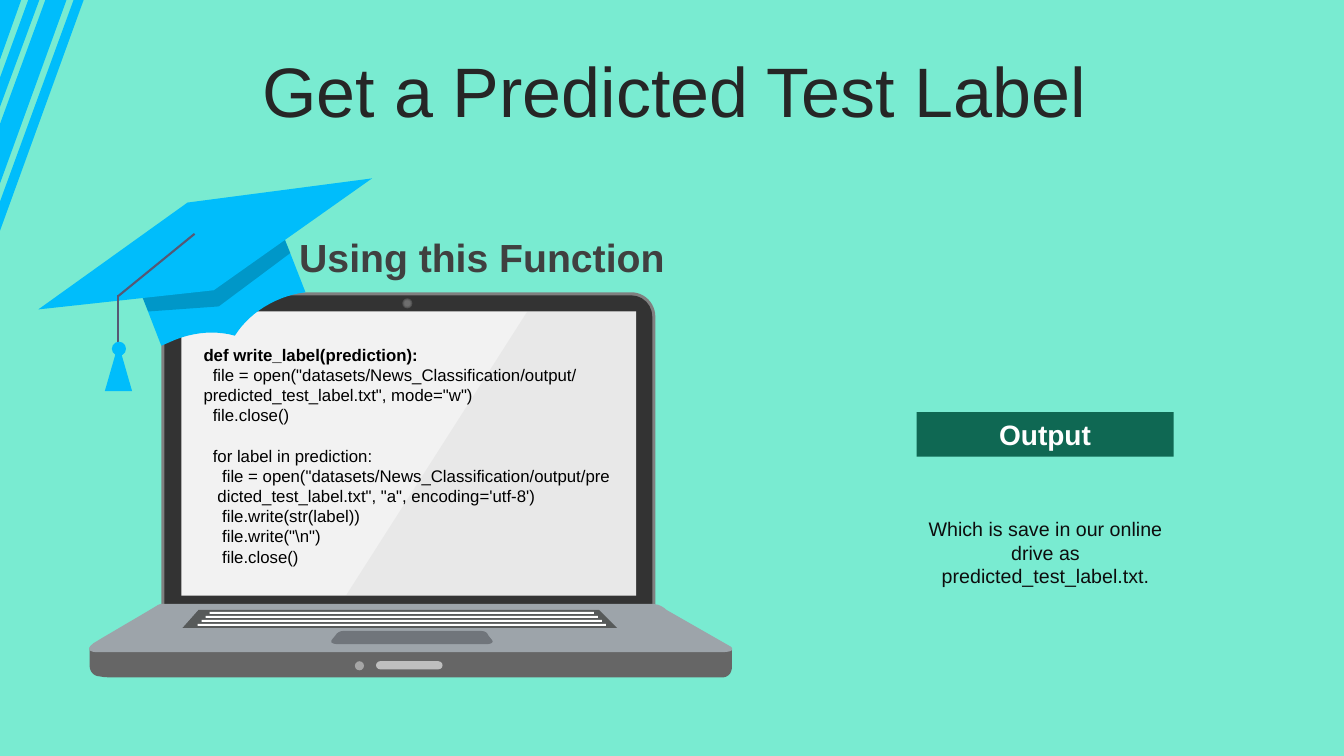
from dataclasses import dataclass

from lxml import etree
from pptx import Presentation
from pptx.dml.color import RGBColor
from pptx.enum.shapes import MSO_CONNECTOR, MSO_SHAPE
from pptx.enum.text import MSO_ANCHOR, MSO_AUTO_SIZE, PP_ALIGN
from pptx.oxml.ns import qn
from pptx.util import Inches, Pt

RECT, OVAL = MSO_SHAPE.RECTANGLE, MSO_SHAPE.OVAL
PILL, TRIANGLE = MSO_SHAPE.ROUNDED_RECTANGLE, MSO_SHAPE.ISOSCELES_TRIANGLE
LID = MSO_SHAPE.ROUND_2_SAME_RECTANGLE
STRAIGHT = MSO_CONNECTOR.STRAIGHT
MIDDLE, FIT_SHAPE = MSO_ANCHOR.MIDDLE, MSO_AUTO_SIZE.SHAPE_TO_FIT_TEXT
LEFT, CENTER, RIGHT = PP_ALIGN.LEFT, PP_ALIGN.CENTER, PP_ALIGN.RIGHT
CURVE_STEPS = 10


@dataclass(frozen=True)
class Theme:
    font: str = "Arial"
    background: str = "79EBD1"
    accent: str = "00BDFB"
    label: str = "0F6853"
    white: str = "FFFFFF"
    black: str = "000000"
    title: str = "262626"
    heading: str = "404040"
    body: str = "0D0D0D"
    cord: str = "565874"
    edge: str = "808080"
    bezel: str = "333333"
    screen: str = "F2F2F2"
    glare: str = "999999"
    front: str = "666666"
    deck: str = "9DA4AA"
    trackpad: str = "70757B"
    keyboard: str = "575A5A"
    latch: str = "BFBFBF"
    button: str = "A6A6A6"
    title_size: int = 50
    heading_size: int = 28
    label_size: int = 20
    body_size: int = 14
    code_size: int = 12


THEME = Theme()

CODE = [
    "def write_label(prediction):",
    '  file = open("datasets/News_Classification/output/\vpredicted_test_label.txt", mode="w")',
    "  file.close()",
    "  for label in prediction:",
    '    file = open("datasets/News_Classification/output/pre\v'
    '   dicted_test_label.txt", "a", encoding=\'utf-8\')',
    "    file.write(str(label))",
    '    file.write("\\n")',
    "    file.close()",
]
LOOP_LINE = 3

# In an outline, a pair is a corner and six numbers are a Bézier curve.
STRIPES = [
    [(0.73, 0), (0.83, 0), (0, 2.29), (0, 2)],
    [(0.39, 0), (0, 1.06), (0, 0.77), (0.28, 0)],
    [(0.66, 0), (0, 1.82), (0, 1.23), (0.45, 0)],
    [(0, 0), (0.21, 0), (0, 0.59)],
]
FRONT = [(7.26, 6.61), (7.26, 6.72, 7.17, 6.72, 7.17, 6.72), (1.15, 6.72),
         (1.08, 6.72, 1.03, 6.72, 0.99, 6.71), (0.93, 6.71, 0.89, 6.66, 0.89, 6.61),
         (0.89, 6.44), (7.26, 6.44)]
DECK = [(7.14, 6.47), (0.96, 6.47), (0.96, 6.47, 0.91, 6.47, 0.89, 6.45),
        (0.88, 6.43, 0.88, 6.42, 0.93, 6.38), (1.04, 6.31, 1.46, 6.07, 1.57, 6),
        (1.6, 5.99), (6.47, 5.99), (6.53, 6), (6.55, 6.01, 6.58, 6.02, 6.61, 6.05),
        (7.24, 6.41), (7.24, 6.41, 7.26, 6.42, 7.26, 6.43),
        (7.27, 6.45, 7.26, 6.47, 7.14, 6.47)]
TRACKPAD = [(3.41, 6.26), (3.38, 6.26, 3.35, 6.27, 3.33, 6.3), (3.29, 6.35),
            (3.29, 6.35, 3.25, 6.4, 3.4, 6.39), (4.78, 6.39),
            (4.92, 6.4, 4.88, 6.35, 4.88, 6.35), (4.84, 6.3),
            (4.83, 6.27, 4.8, 6.26, 4.76, 6.26)]
KEYBOARD = [(6.12, 6.23), (1.81, 6.23), (1.97, 6.05), (5.94, 6.05)]
GLARE = [(5.23, 3.09), (6.31, 3.09), (6.31, 5.91), (3.43, 5.91)]
CAP = [(2.71, 2.08), (1.29, 2.63), (1.6, 3.43), (1.65, 3.41, 1.69, 3.39, 1.74, 3.37),
       (1.94, 3.29, 2.15, 3.28, 2.33, 3.33), (2.43, 3.17, 2.59, 3.04, 2.79, 2.96),
       (2.87, 2.93, 2.95, 2.91, 3.03, 2.9)]
CAP_SHADE = [(2.78, 2.27), (1.36, 2.82), (1.47, 3.09), (2.17, 3.04), (2.88, 2.51)]
CAP_BOARD = [(1.86, 2.01), (3.69, 1.77), (2.12, 2.88), (0.38, 3.07)]


def paint(shape, color, alpha=None):
    shape.shadow.inherit = False
    shape.fill.solid()
    shape.fill.fore_color.rgb = RGBColor.from_string(color)
    shape.line.fill.background()
    if alpha is not None:
        rgb = shape._element.spPr.find(qn("a:solidFill"))[0]
        etree.SubElement(rgb, qn("a:alpha"), val=str(alpha * 1000))
    return shape


def add_block(shapes, kind, box, color, alpha=None):
    return paint(shapes.add_shape(kind, *map(Inches, box)), color, alpha)


def flatten(outline):
    """Turn the corners and Bézier curves of an outline into points."""
    points = []
    for step in outline:
        if len(step) == 2:
            points.append(step)
            continue
        controls = [points[-1], step[:2], step[2:4], step[4:]]
        for i in range(1, CURVE_STEPS + 1):
            t = i / CURVE_STEPS
            weights = ((1 - t) ** 3, 3 * t * (1 - t) ** 2, 3 * t * t * (1 - t), t ** 3)
            points.append(tuple(sum(w * c[axis] for w, c in zip(weights, controls))
                                for axis in (0, 1)))
    return [(Inches(x), Inches(y)) for x, y in points]


def add_outline(shapes, outline, color, alpha=None):
    start, *others = flatten(outline)
    builder = shapes.build_freeform(*start)
    builder.add_line_segments(others, close=True)
    return paint(builder.convert_to_shape(), color, alpha)


def add_cord(shapes, start, end):
    cord = shapes.add_connector(STRAIGHT, *map(Inches, start + end))
    cord.line.color.rgb = RGBColor.from_string(THEME.cord)
    cord.line.width = Pt(1.5)
    etree.SubElement(cord._element.spPr, qn("a:effectLst"))


def write(frame, lines, size, color, align=LEFT, bold=False, spacing=None):
    frame.word_wrap = True
    frame.text = "\n".join(lines)
    for paragraph in frame.paragraphs:
        paragraph.alignment = align
        paragraph.line_spacing = spacing
        for run in paragraph.runs:
            for name, value in dict(name=THEME.font, size=Pt(size), bold=bold).items():
                setattr(run.font, name, value)
            run.font.color.rgb = RGBColor.from_string(color)


def add_text(shapes, box, *args, **formats):
    frame = shapes.add_textbox(*map(Inches, box)).text_frame
    write(frame, *args, **formats)
    frame.auto_size = FIT_SHAPE
    return frame


def place_title(title, text):
    box = dict(left=0.36, top=0.57, width=12.66, height=0.79)
    for name, value in box.items():
        setattr(title, name, Inches(value))
    write(title.text_frame, [text], THEME.title_size, THEME.title, CENTER, spacing=0.8)
    title.text_frame.vertical_anchor = MIDDLE


def draw_laptop(shapes):
    for inset, color in ((0, THEME.edge), (0.03, THEME.bezel)):
        height = 3.14 - inset
        lid = add_block(shapes, LID, (1.6 + inset, 2.9 + inset, 4.9 - 2 * inset, height), color)
        lid.adjustments[0] = (0.24 - inset) / height
    add_block(shapes, RECT, (1.8, 3.09, 4.51, 2.82), THEME.screen)
    add_outline(shapes, FRONT, THEME.front)
    add_outline(shapes, DECK, THEME.deck)
    add_outline(shapes, TRACKPAD, THEME.trackpad)
    add_outline(shapes, KEYBOARD, THEME.keyboard)
    add_outline(shapes, GLARE, THEME.glare, 10)
    for row in range(4):
        step = 0.04 * row
        add_block(shapes, RECT, (2.08 - step, 6.07 + step, 3.81 + 2 * step, 0.02), THEME.white)
    for ring in range(3):
        inset = 0.01 * ring
        size = 0.1 - 2 * inset
        add_block(shapes, OVAL, (3.99 + inset, 2.96 + inset, size, size), THEME.edge, 40)
    latch = add_block(shapes, PILL, (3.73, 6.56, 0.66, 0.08), THEME.latch)
    latch.adjustments[0] = 0.5
    add_block(shapes, OVAL, (3.52, 6.56, 0.09, 0.09), THEME.button)


def draw_cap(shapes):
    add_outline(shapes, CAP, THEME.accent)
    add_outline(shapes, CAP_SHADE, THEME.black, 20)
    add_outline(shapes, CAP_BOARD, THEME.accent)
    add_cord(shapes, (1.93, 2.32), (1.17, 2.94))
    add_cord(shapes, (1.17, 2.93), (1.17, 3.41))
    add_block(shapes, TRIANGLE, (1.04, 3.41, 0.27, 0.47), THEME.accent)
    add_block(shapes, OVAL, (1.11, 3.39, 0.14, 0.14), THEME.accent)


def main():
    deck = Presentation()
    deck.slide_width, deck.slide_height = Inches(13.33), Inches(7.5)
    slide = deck.slides.add_slide(deck.slide_layouts[5])
    slide.background.fill.solid()
    slide.background.fill.fore_color.rgb = RGBColor.from_string(THEME.background)
    shapes = slide.shapes

    for stripe in STRIPES:
        add_outline(shapes, stripe, THEME.accent)
    draw_laptop(shapes.add_group_shape().shapes)
    place_title(shapes.title, "Get a Predicted Test Label")
    output = add_block(shapes, RECT, (9.09, 4.09, 2.55, 0.44), THEME.label)
    write(output.text_frame, ["Output"], THEME.label_size, THEME.white, CENTER, bold=True)
    add_text(shapes, (2.29, 2.22, 4.4, 0.62), ["Using this Function"],
             THEME.heading_size, THEME.heading, RIGHT, bold=True, spacing=1.1)
    draw_cap(shapes.add_group_shape().shapes)
    add_text(shapes, (9.05, 5.08, 2.64, 0.81),
             ["Which is save in our online drive as predicted_test_label.txt."],
             THEME.body_size, THEME.body, CENTER)
    code = add_text(shapes, (1.92, 3.37, 4.29, 2.32), CODE, THEME.code_size, THEME.black)
    code.paragraphs[0].runs[0].font.bold = True
    code.paragraphs[LOOP_LINE].space_before = Pt(14.4)
    deck.save("out.pptx")


if __name__ == "__main__":
    main()
